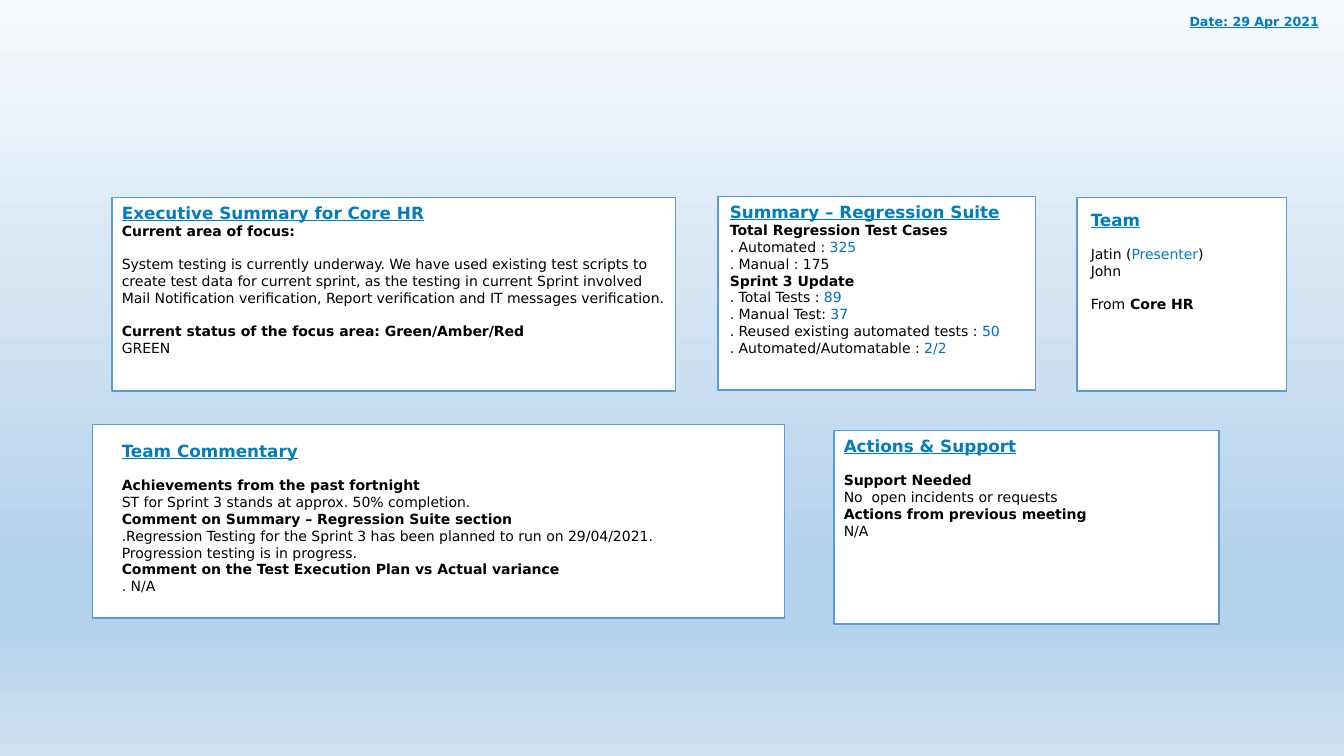
from dataclasses import dataclass

from lxml.etree import SubElement
from pptx import Presentation
from pptx.dml.color import RGBColor as RGB
from pptx.enum.shapes import MSO_SHAPE as SHAPE
from pptx.enum.text import PP_ALIGN as ALIGN
from pptx.oxml.ns import qn
from pptx.util import Inches, Pt


@dataclass(frozen=True)
class Theme:
    font: str = "DejaVu Sans"
    heading: str = "007DBA"
    value: str = "0070C0"
    ink: str = "000000"
    panel: str = "FFFFFF"
    border: str = "5B9BD5"
    backdrop: tuple = ((0, "F7FAFD"), (74, "B5D2EC"), (83, "B5D2EC"), (100, "CEE1F2"))
    heading_size: float = 12
    body_size: float = 10
    date_size: float = 9
    gap: float = 11.6


THEME = Theme()


def span(text, color=THEME.ink, size=THEME.body_size, bold=False, underline=False):
    return dict(text=text, color=color, size=size, bold=bold, underline=underline)


def line(*spans, gap=False):
    return spans, gap


def plain(text, gap=False):
    return line(span(text), gap=gap)


def strong(text, gap=False):
    return line(span(text, bold=True), gap=gap)


def heading(text, size=THEME.heading_size):
    return line(span(text, color=THEME.heading, size=size, bold=True, underline=True))


def figure(label, value):
    return line(span(label), span(value, color=THEME.value))


class Deck:
    """Holds the theme and the current slide, and draws its elements."""

    def __init__(self, prs, theme):
        self.theme = theme
        self.s = prs.slides.add_slide(prs.slide_layouts[6])

    def backdrop(self):
        fill = self.s.background.fill
        fill.gradient()
        fill.gradient_angle = 270
        stops = self.s.element.find(".//" + qn("a:gsLst"))
        for stop in list(stops):
            stops.remove(stop)
        for percent, color in self.theme.backdrop:
            stop = SubElement(stops, qn("a:gs"), pos=str(percent * 1000))
            SubElement(stop, qn("a:srgbClr"), val=color)

    def panel(self, box):
        sp = self.s.shapes.add_shape(SHAPE.RECTANGLE, *map(Inches, box))
        sp.shadow.inherit = False
        sp.fill.solid()
        sp.fill.fore_color.rgb = RGB.from_string(self.theme.panel)
        sp.line.color.rgb = RGB.from_string(self.theme.border)
        sp.line.width = Pt(1)

    def text(self, box, lines, align=ALIGN.LEFT, wrap=True):
        tf = self.s.shapes.add_textbox(*map(Inches, box)).text_frame
        tf.word_wrap = wrap
        for i, (spans, gap) in enumerate(lines):
            p = tf.add_paragraph() if i else tf.paragraphs[0]
            p.alignment = align
            if gap:
                p.space_before = Pt(self.theme.gap)
            for item in spans:
                self.run(p, **item)

    def run(self, p, text, color, size, bold, underline):
        r = p.add_run()
        r.text = text
        r.font.name = self.theme.font
        r.font.size = Pt(size)
        r.font.bold = bold
        r.font.underline = underline
        r.font.color.rgb = RGB.from_string(color)


PANEL_H = 1.92
SECTIONS = [
    ((7.12, 1.95, 3.15, PANEL_H), (7.14, 1.95, 3.15, 1.65), [
        heading("Summary – Regression Suite"),
        strong("Total Regression Test Cases"),
        figure(". Automated : ", "325"),
        plain(". Manual : 175"),
        strong("Sprint 3 Update"),
        figure(". Total Tests : ", "89"),
        figure(". Manual Test: ", "37"),
        figure(". Reused existing automated tests : ", "50"),
        figure(". Automated/Automatable : ", "2/2"),
    ]),
    ((0.92, 4.21, 6.86, PANEL_H), (1.11, 4.32, 6.86, 1.82), [
        heading("Team Commentary"),
        strong("Achievements from the past fortnight", gap=True),
        plain("ST for Sprint 3 stands at approx. 50% completion."),
        strong("Comment on Summary – Regression Suite section"),
        plain(".Regression Testing for the Sprint 3 has been planned to run on 29/04/2021."),
        plain("Progression testing is in progress."),
        strong("Comment on the Test Execution Plan vs Actual variance"),
        plain(". N/A"),
    ]),
    ((8.27, 4.27, 3.82, PANEL_H), (8.27, 4.27, 3.82, 1.14), [
        heading("Actions & Support"),
        strong("Support Needed", gap=True),
        plain("No  open incidents or requests"),
        strong("Actions from previous meeting"),
        plain("N/A"),
    ]),
    ((1.11, 1.96, 5.59, PANEL_H), (1.11, 1.96, 5.59, 1.82), [
        heading("Executive Summary for Core HR"),
        strong("Current area of focus:"),
        plain("System testing is currently underway. We have used existing test scripts to "
              "create test data for current sprint, as the testing in current Sprint involved "
              "Mail Notification verification, Report verification and IT messages "
              "verification.", gap=True),
        strong("Current status of the focus area: Green/Amber/Red", gap=True),
        plain("GREEN"),
    ]),
    ((10.68, 1.96, 2.08, PANEL_H), (10.72, 2.03, 2.09, 1.28), [
        heading("Team"),
        line(span("Jatin ("), span("Presenter", color=THEME.heading), span(")"), gap=True),
        plain("John"),
        line(span("From"), span(" Core HR", bold=True), gap=True),
    ]),
]

prs = Presentation()
prs.slide_width, prs.slide_height = Inches(13.33), Inches(7.5)
deck = Deck(prs, THEME)
deck.backdrop()
for panel_box, text_box, lines in SECTIONS:
    deck.panel(panel_box)
    deck.text(text_box, lines)
deck.text((11.68, 0.09, 1.5, 0.25), [heading("Date: 29 Apr 2021", size=THEME.date_size)],
          align=ALIGN.RIGHT, wrap=False)
prs.save("out.pptx")
